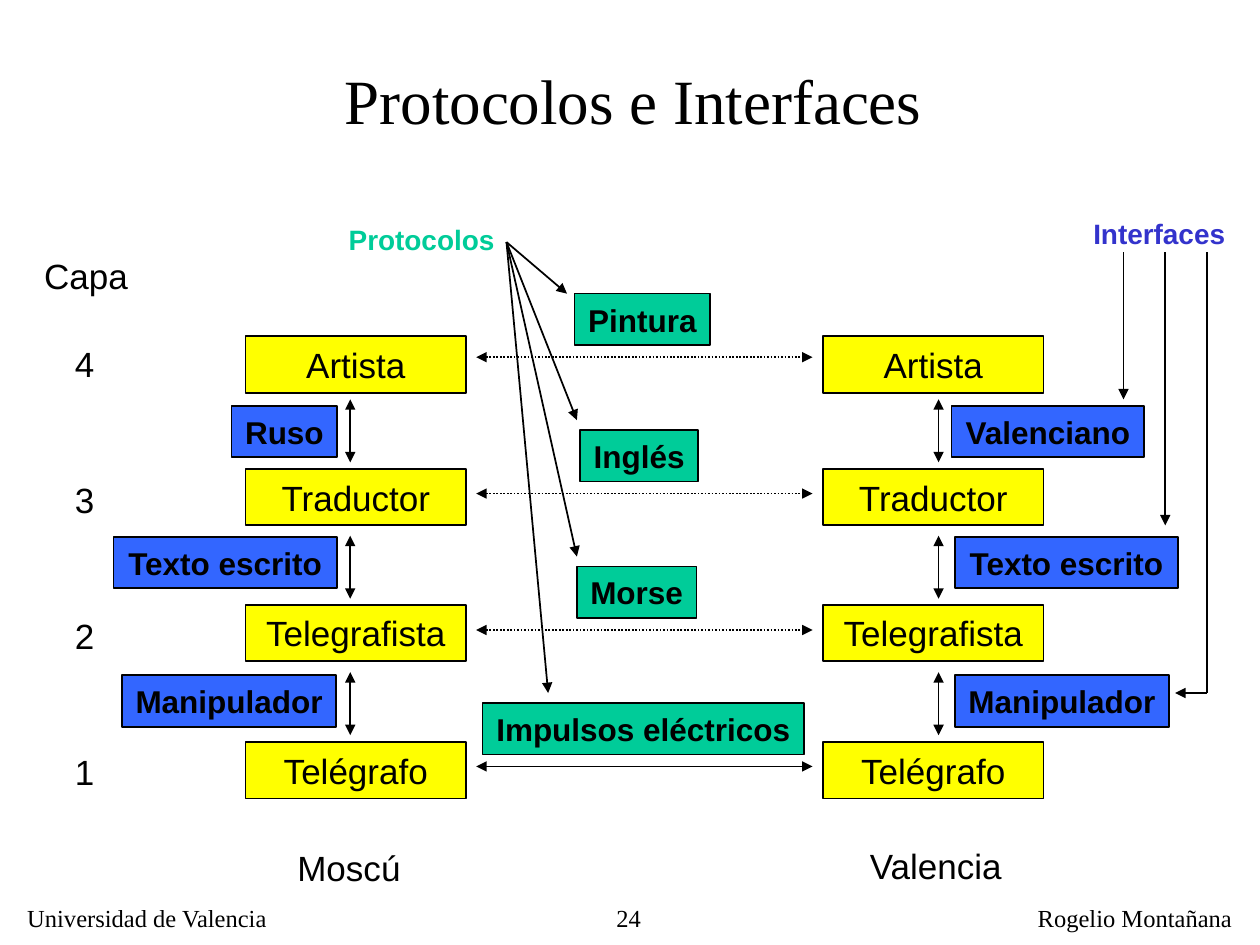
from pptx import Presentation
from pptx import util as u
from pptx.dml.color import RGBColor
from pptx.enum import dml, shapes, text
from pptx.oxml.ns import qn
from lxml import etree

BLACK = RGBColor(0x00, 0x00, 0x00)
YELLOW = RGBColor(0xFF, 0xFF, 0x00)
GREEN = RGBColor(0x00, 0xCC, 0x99)
BLUE = RGBColor(0x33, 0x66, 0xFF)
INDIGO = RGBColor(0x33, 0x33, 0xCC)
SANS, SERIF = "Arial", "Times New Roman"
LEFT, CENTER, RIGHT = text.PP_ALIGN.LEFT, text.PP_ALIGN.CENTER, text.PP_ALIGN.RIGHT
TOP, MIDDLE = text.MSO_ANCHOR.TOP, text.MSO_ANCHOR.MIDDLE

LAYER_PITCH = 2.75
ROLES = ["Artista", "Traductor", "Telegrafista", "Telégrafo"]
ROLE_TOPS = [0, 2.67, 5.41, 8.18]
INTERFACE_TOPS = [1.4, 4.04, 6.83]


def write(holder, words, font=SANS, size=20, color=BLACK, bold=False,
          align=CENTER, anchor=TOP, wrap=False):
    frame = holder.text_frame
    frame.word_wrap = wrap
    frame.vertical_anchor = anchor
    frame.text = words
    paragraph = frame.paragraphs[0]
    paragraph.alignment = align
    paragraph.font.name = font
    paragraph.font.size = u.Pt(size)
    paragraph.font.bold = bold
    paragraph.font.color.rgb = color


def label(slide, words, left, top, width, height=1.09, **style):
    caption = slide.shapes.add_textbox(u.Cm(left), u.Cm(top), u.Cm(width), u.Cm(height))
    write(caption, words, **style)


def panel(slide, words, left, top, width, height, fill, **style):
    block = slide.shapes.add_shape(shapes.MSO_SHAPE.RECTANGLE, u.Cm(left), u.Cm(top),
                                   u.Cm(width), u.Cm(height))
    block.shadow.inherit = False
    block.fill.solid()
    block.fill.fore_color.rgb = fill
    block.line.color.rgb = BLACK
    block.line.width = u.Pt(1)
    write(block, words, anchor=MIDDLE, **style)


def arrow(slide, start, end, head=False, tail=True, dotted=False):
    link = slide.shapes.add_connector(shapes.MSO_CONNECTOR.STRAIGHT,
                                      *(u.Cm(v) for v in (*start, *end)))
    link.line.color.rgb = BLACK
    link.line.width = u.Pt(1)
    if dotted:
        link.line.dash_style = dml.MSO_LINE.ROUND_DOT
    outline = link.line._get_or_add_ln()
    for tag, shown in (("a:headEnd", head), ("a:tailEnd", tail)):
        if shown:
            etree.SubElement(outline, qn(tag), type="triangle")
    etree.SubElement(link._element.spPr, qn("a:effectLst"))


def draw_title(slide, left, top, width, height):
    title = slide.shapes.title
    title.left, title.top = u.Cm(left), u.Cm(top)
    title.width, title.height = u.Cm(width), u.Cm(height)
    write(title, "Protocolos e Interfaces", font=SERIF, size=36, anchor=MIDDLE, wrap=True)


def draw_layer_numbers(slide, left, top):
    label(slide, "Capa", left, top, 2.21, align=LEFT)
    for row in range(4):
        label(slide, str(4 - row), left + 0.61, top + 1.78 + 2.74 * row, 0.91)


def draw_site(slide, left, top, arrow_x, interfaces, city):
    for role, role_top in zip(ROLES, ROLE_TOPS):
        panel(slide, role, left, top + role_top, 4.45, 1.14, YELLOW, wrap=True)
    for row, (name, offset, width) in enumerate(interfaces):
        start = top + 1.27 + LAYER_PITCH * row
        arrow(slide, (left + arrow_x, start), (left + arrow_x, start + 1.27), head=True)
        panel(slide, name, left + offset, top + INTERFACE_TOPS[row], width, 1.04, BLUE,
              size=18, bold=True)
    name, offset, city_top, width = city
    label(slide, name, left + offset, top + city_top, width)


def draw_protocols(slide, left, top):
    label(slide, "Protocolos", left, top, 3.45, 0.94, size=16, bold=True, color=GREEN,
          align=LEFT)
    source = (left + 3.43, top + 0.51)
    protocols = [
        ("Pintura", 4.8, 2.74, 4.65),
        ("Inglés", 4.91, 2.39, 4.85),
        ("Morse", 4.85, 2.41, 4.85),
        ("Impulsos eléctricos", 2.95, 6.48, 4.27),
    ]
    for row, (name, offset, width, target_x) in enumerate(protocols):
        drop = LAYER_PITCH * row
        peer_y = top + 2.83 + drop
        arrow(slide, (left + 2.82, peer_y), (left + 9.6, peer_y), head=True,
              dotted=row < 3)
        panel(slide, name, left + offset, top + 1.55 + drop, width, 1.04, GREEN,
              size=18, bold=True)
        target_y = top + (1.55 if row == 0 else 1.35 + drop)
        arrow(slide, source, (left + target_x, target_y))


def draw_interface_key(slide, left, top):
    label(slide, "Interfaces", left, top, 3.18, 0.94, size=16, bold=True, color=INDIGO,
          align=LEFT)
    start_y = top + 0.84
    for column, length in enumerate((2.97, 5.51, 8.89)):
        x = left + 0.86 + 0.84 * column
        arrow(slide, (x, start_y), (x, start_y + length), tail=column < 2)
    arrow(slide, (x, start_y + length), (x - 0.64, start_y + length))


def draw_footer(slide, left, top):
    for words, offset, width, align in (("Universidad de Valencia", 0, 5.41, LEFT),
                                        ("24", 10.18, 2.69, RIGHT),
                                        ("Rogelio Montañana", 20.37, 4.42, LEFT)):
        label(slide, words, left + offset, top, width, 0.84, font=SERIF, size=14,
              align=align)


def main():
    deck = Presentation()
    deck.slide_width, deck.slide_height = u.Cm(25.4), u.Cm(19.05)
    slide = deck.slides.add_slide(deck.slide_layouts[5])
    draw_footer(slide, 0.3, 18.08)
    draw_title(slide, 4.93, 0.84, 15.67, 2.34)
    draw_layer_numbers(slide, 0.64, 5)
    draw_site(slide, 4.95, 6.78, 2.11,
              [("Ruso", -0.28, 2.13), ("Texto escrito", -2.66, 4.5),
               ("Manipulador", -2.49, 4.32)],
              ("Moscú", 0.79, 10.16, 2.59))
    draw_site(slide, 16.59, 6.78, 2.33,
              [("Valenciano", 2.59, 3.89), ("Texto escrito", 2.66, 4.5),
               ("Manipulador", 2.66, 4.32)],
              ("Valencia", 0.66, 10.11, 3.23))
    draw_protocols(slide, 6.78, 4.37)
    draw_interface_key(slide, 21.79, 4.24)
    deck.save("out.pptx")


if __name__ == "__main__":
    main()
